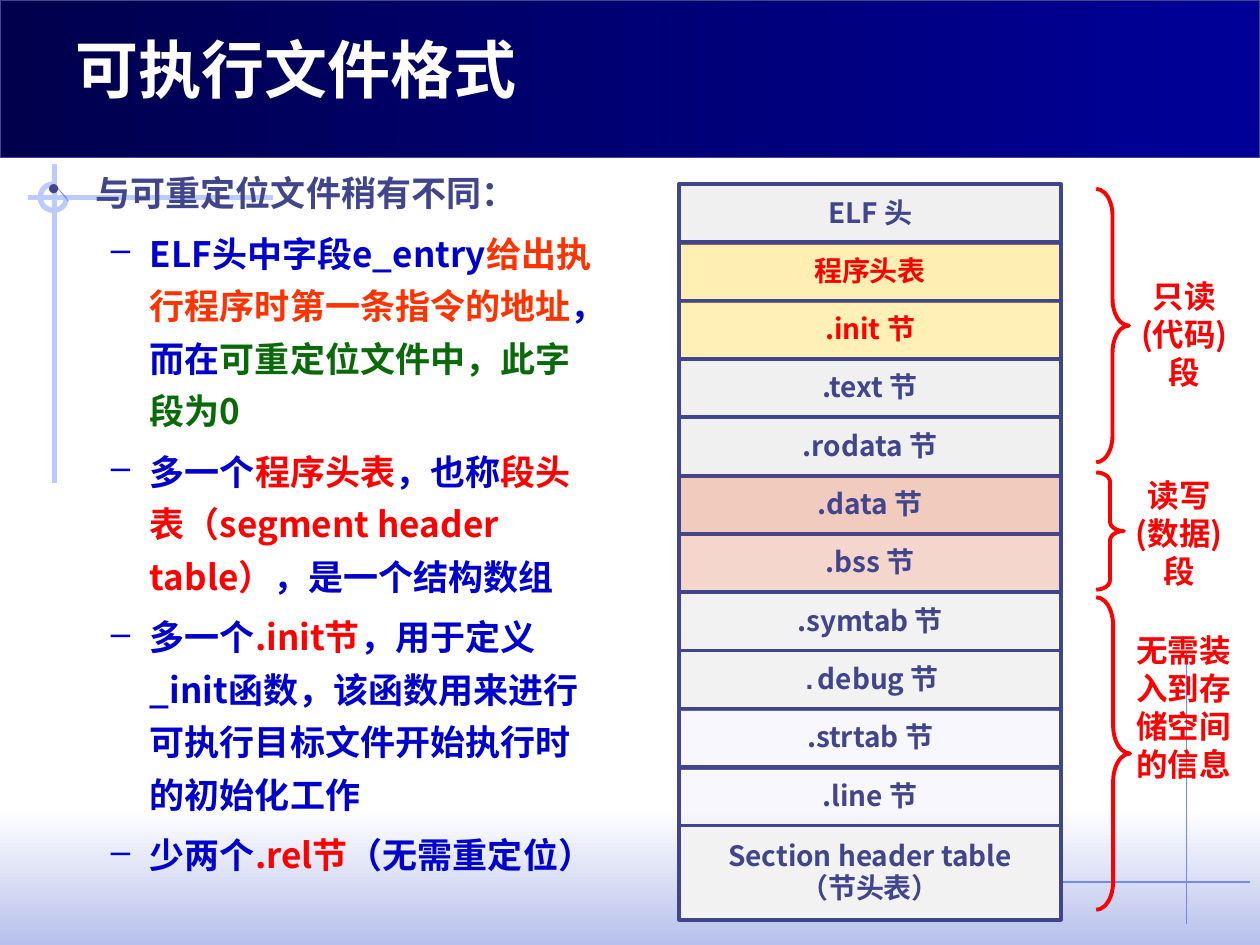
import pptx
import pptx.util
import pptx.dml.color
import pptx.enum.shapes
import pptx.enum.text
import pptx.oxml
import pptx.oxml.ns
from lxml import etree

Pt = pptx.util.Pt
SHAPE = pptx.enum.shapes.MSO_SHAPE
ALIGN = pptx.enum.text.PP_ALIGN
ANCHOR = pptx.enum.text.MSO_ANCHOR
qn = pptx.oxml.ns.qn

SANS = "Noto Sans CJK SC"
NAVY, BLUE, RED, ORANGE, GREEN = "40458C", "0000CC", "FF0000", "FF3300", "0A6A0A"
PALE, GREY = "BBCBFD", "F2F2F2"

TITLE = "可执行文件格式"
POINTS = [
    (0, [("与可重定位文件稍有不同：", NAVY)]),
    (1, [("ELF头中字段e_entry", BLUE), ("给出执行程序时第一条指令的地址", ORANGE),
         ("，而在", BLUE), ("可重定位文件中，此字段为0", GREEN)]),
    (1, [("多一个", BLUE), ("程序头表", RED), ("，也称", BLUE),
         ("段头表（segment header table）", RED), ("，是一个结构数组", BLUE)]),
    (1, [("多一个", BLUE), (".init节", RED),
         ("，用于定义_init函数，该函数用来进行可执行目标文件开始执行时的初始化工作", BLUE)]),
    (1, [("少两个", BLUE), (".rel节", RED), ("（无需重定位）", BLUE)]),
]
BULLETS = [("•", 27.4, -27.4), ("–", 58.3, -22.3)]
SECTIONS = [
    ("ELF 头", "F0F0F0", 100, NAVY),
    ("程序头表", "FFCC00", 30, RED),
    (".init 节", "FFCC00", 29, RED),
    (".text 节", "F0F0F0", 100, NAVY),
    (".rodata 节", "F0F0F0", 100, NAVY),
    (".data 节", "CC3300", 25, NAVY),
    (".bss 节", "CC3300", 20, NAVY),
    (".symtab 节", GREY, 100, NAVY),
    (".debug 节", GREY, 100, NAVY),
    (".strtab 节", "D6D6F5", 19, NAVY),
    (".line 节", "D6D6F5", 19, NAVY),
    ("Section header table\n（节头表）", GREY, 100, NAVY),
]
SEGMENTS = [
    ("只读(代码)段", (626.4, 108, 18.7, 156.2), 0.818, (643, 154.8, 67.7, 72.7), ALIGN.CENTER),
    ("读写(数据)段", (626.4, 270, 15.8, 67), 0.345, (640, 268.6, 67.7, 72.7), ALIGN.CENTER),
    ("无需装入到存储空间的信息", (626.4, 341.3, 19.4, 178.6), 0.829,
     (642.2, 357.1, 71.3, 94.3), ALIGN.LEFT),
]
GUIDES = [
    (678.2, 372.2, 678.2, 527.8, "6F89F7", 0.75),
    (156.2, 113, 15.8, 113, PALE, 3),
    (31, 93.6, 31, 275.8, PALE, 3),
    (522, 504, 714.2, 504, "6F89F7", 0.75),
]


def color(value):
    return pptx.dml.color.RGBColor.from_string(value)


def add_span(para, text, size=16, fill=NAVY, font=SANS):
    span = para.add_run()
    span.text = text
    span.font.size, span.font.bold, span.font.name = Pt(size), True, font
    span.font.color.rgb = color(fill)
    etree.SubElement(span.font._element, qn("a:ea")).set("typeface", SANS)
    return span


def add_shape(kind, frame, fill=None, alpha=100, line=None, width=1):
    shape = page.shapes.add_shape(kind, *map(Pt, frame))
    shape.shadow.inherit = False
    if fill:
        shape.fill.solid()
        shape.fill.fore_color.rgb = color(fill)
        if alpha < 100:
            tint = shape._element.spPr.find(".//" + qn("a:srgbClr"))
            etree.SubElement(tint, qn("a:alpha")).set("val", str(alpha * 1000))
    else:
        shape.fill.background()
    if line:
        shape.line.color.rgb = color(line)
        shape.line.width = Pt(width)
    else:
        shape.line.fill.background()
    return shape


def add_gradient(frame, start, end, angle, line=None):
    shape = add_shape(SHAPE.RECTANGLE, frame, line=line, width=0.75)
    shape.fill.gradient()
    shape.fill.gradient_angle = angle
    for stop, value in zip(shape.fill.gradient_stops, (start, end)):
        stop.color.rgb = color(value)


def add_guide(x1, y1, x2, y2, value, width):
    guide = page.shapes.add_connector(
        pptx.enum.shapes.MSO_CONNECTOR.STRAIGHT, *map(Pt, (x1, y1, x2, y2)))
    guide.line.color.rgb = color(value)
    guide.line.width = Pt(width)
    etree.SubElement(guide._element.spPr, qn("a:effectLst"))


def add_text_box(frame):
    box = page.shapes.add_textbox(*map(Pt, frame))
    box.text_frame.word_wrap = True
    return box.text_frame


def paragraphs(frame, count):
    return [frame.paragraphs[0]] + [frame.add_paragraph() for _ in range(count - 1)]


def add_bullet(para, level):
    mark, margin, indent = BULLETS[level]
    para.level = level
    props = para._p.get_or_add_pPr()
    props.set("marL", str(Pt(margin)))
    props.set("indent", str(Pt(indent)))
    etree.SubElement(props, qn("a:buChar")).set("char", mark)


deck = pptx.Presentation()
deck.slide_width, deck.slide_height = Pt(720), Pt(540)
page = deck.slides.add_slide(deck.slide_layouts[5])

add_gradient((0, 462.2, 720, 77.8), "FFFFFF", "B7C1EB", 270)
for guide in GUIDES:
    add_guide(*guide)
ring = add_shape(SHAPE.ARC, (23, 105.1, 15.1, 15.1), line=PALE, width=3)
ring.adjustments[0], ring.adjustments[1] = 0, 162
builder = page.shapes.build_freeform(Pt(31), Pt(105.1))
builder.add_line_segments([(Pt(38.2), Pt(113)), (Pt(38.9), Pt(115.2))])
wedge = builder.convert_to_shape()
wedge.shadow.inherit = False
wedge.fill.solid()
wedge.fill.fore_color.rgb = color("6F89F7")
wedge.line.fill.background()
add_gradient((0, 0, 720, 90), "00004D", "000099", 0, NAVY)

title = page.shapes.title
title.left, title.top, title.width, title.height = map(Pt, (36, 20.2, 648, 43.9))
title.text_frame.vertical_anchor = ANCHOR.BOTTOM
title.text_frame.paragraphs[0].alignment = ALIGN.LEFT
add_span(title.text_frame.paragraphs[0], TITLE, size=36, fill="FFFFFF", font="Noto Sans CJK JP")
page.shapes._spTree.append(title._element)

TABLE_TOP, PITCH = 105.1, 33.32
for index, (text, fill, alpha, ink) in enumerate(SECTIONS):
    height = 54 if index == len(SECTIONS) - 1 else 33.8
    cell = add_shape(SHAPE.RECTANGLE, (388.1, TABLE_TOP + index * PITCH, 218.2, height),
                     fill, alpha, NAVY, 2)
    cell.text_frame.word_wrap = False
    cell.text_frame.vertical_anchor = ANCHOR.MIDDLE
    lines = text.split("\n")
    for para, line in zip(paragraphs(cell.text_frame, len(lines)), lines):
        para.alignment, para.line_spacing = ALIGN.CENTER, 0.95
        if line.startswith(".debug"):
            add_span(para, ".", fill=ink, font="Courier New")
            line = line[1:]
        add_span(para, line, fill=ink)

for text, brace_frame, curve, label_frame, alignment in SEGMENTS:
    brace = add_shape(SHAPE.RIGHT_BRACE, brace_frame, line=RED, width=2.25)
    brace.adjustments[0], brace.adjustments[1] = curve, 0.5
    para = add_text_box(label_frame).paragraphs[0]
    para.alignment = alignment
    add_span(para, text, size=18, fill=RED)

body = add_text_box((20.2, 88.6, 332.6, 450.7))
for para, (level, spans) in zip(paragraphs(body, len(POINTS)), POINTS):
    para.line_spacing, para.space_before = 1.25, Pt(4.6)
    add_bullet(para, level)
    for text, ink in spans:
        add_span(para, text, size=20, fill=ink)

deck.save("out.pptx")
